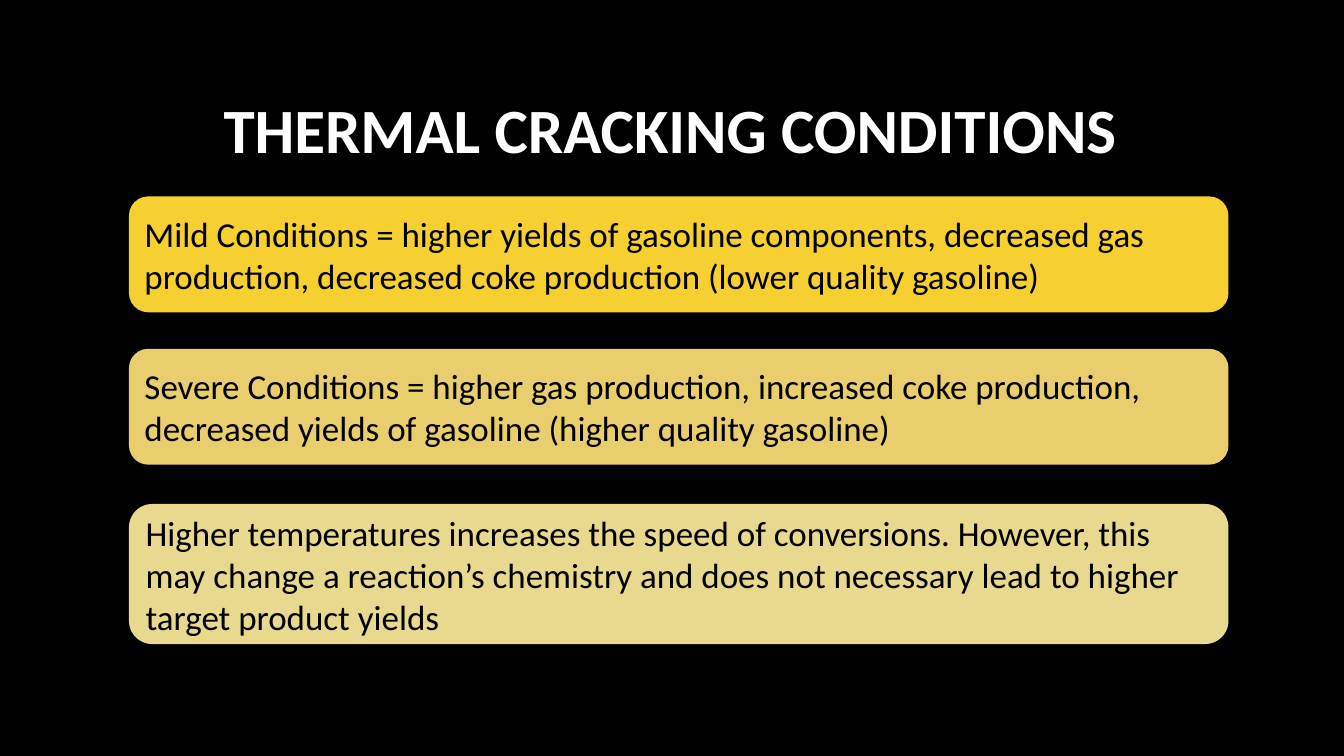
import pptx
import pptx.dml.color
import pptx.enum.shapes
import pptx.enum.text
import pptx.util

Cm = pptx.util.Cm

CONDITIONS = [
    (4.95, 2.92, "F6CF30", "Mild Conditions = higher yields of gasoline components, decreased gas "
     "production, decreased coke production (lower quality gasoline)"),
    (8.79, 2.92, "E9CE6D", "Severe Conditions = higher gas production, increased coke production, "
     "decreased yields of gasoline (higher quality gasoline)"),
    (12.7, 3.53, "E9D98F", "Higher temperatures increases the speed of conversions. However, this "
     "may change a reaction’s chemistry and does not necessary lead to higher target product yields"),
]


def set_fill(fill, color):
    """Give a fill one solid colour from a hex string."""
    fill.solid()
    fill.fore_color.rgb = pptx.dml.color.RGBColor.from_string(color)


def write_text(shape, text, size, color, bold=False, align="LEFT"):
    """Write one vertically centred, wrapped paragraph into a shape."""
    frame = shape.text_frame
    frame.word_wrap = True
    frame.auto_size = pptx.enum.text.MSO_AUTO_SIZE.NONE
    frame.vertical_anchor = pptx.enum.text.MSO_ANCHOR.MIDDLE
    paragraph = frame.paragraphs[0]
    paragraph.alignment = pptx.enum.text.PP_ALIGN[align]
    run = paragraph.add_run()
    run.text = text
    run.font.name = "Calibri"
    run.font.size = pptx.util.Pt(size)
    run.font.bold = bold
    set_fill(run.font.fill, color)


def place_title(slide, text):
    """Move and format the title placeholder."""
    title = slide.shapes.title
    title.left, title.top = Cm(2.82), Cm(1.22)
    title.width, title.height = Cm(28.14), Cm(4.04)
    write_text(title, text, size=45, color="FFFFFF", bold=True, align="CENTER")


def add_condition(slide, top, height, color, text):
    """Add one rounded box that describes a cracking condition."""
    box = slide.shapes.add_shape(
        pptx.enum.shapes.MSO_SHAPE.ROUNDED_RECTANGLE, Cm(3.25), Cm(top), Cm(27.71), Cm(height))
    box.shadow.inherit = False
    box.line.fill.background()
    set_fill(box.fill, color)
    write_text(box, text, size=25, color="000000")


def main():
    """Build the slide and save it."""
    presentation = pptx.Presentation()
    presentation.slide_width, presentation.slide_height = Cm(33.87), Cm(19.05)
    slide = presentation.slides.add_slide(presentation.slide_layouts.get_by_name("Title Only"))
    set_fill(slide.background.fill, "000000")
    place_title(slide, "THERMAL CRACKING CONDITIONS")
    for top, height, color, text in CONDITIONS:
        add_condition(slide, top, height, color, text)
    presentation.save("out.pptx")


if __name__ == "__main__":
    main()
